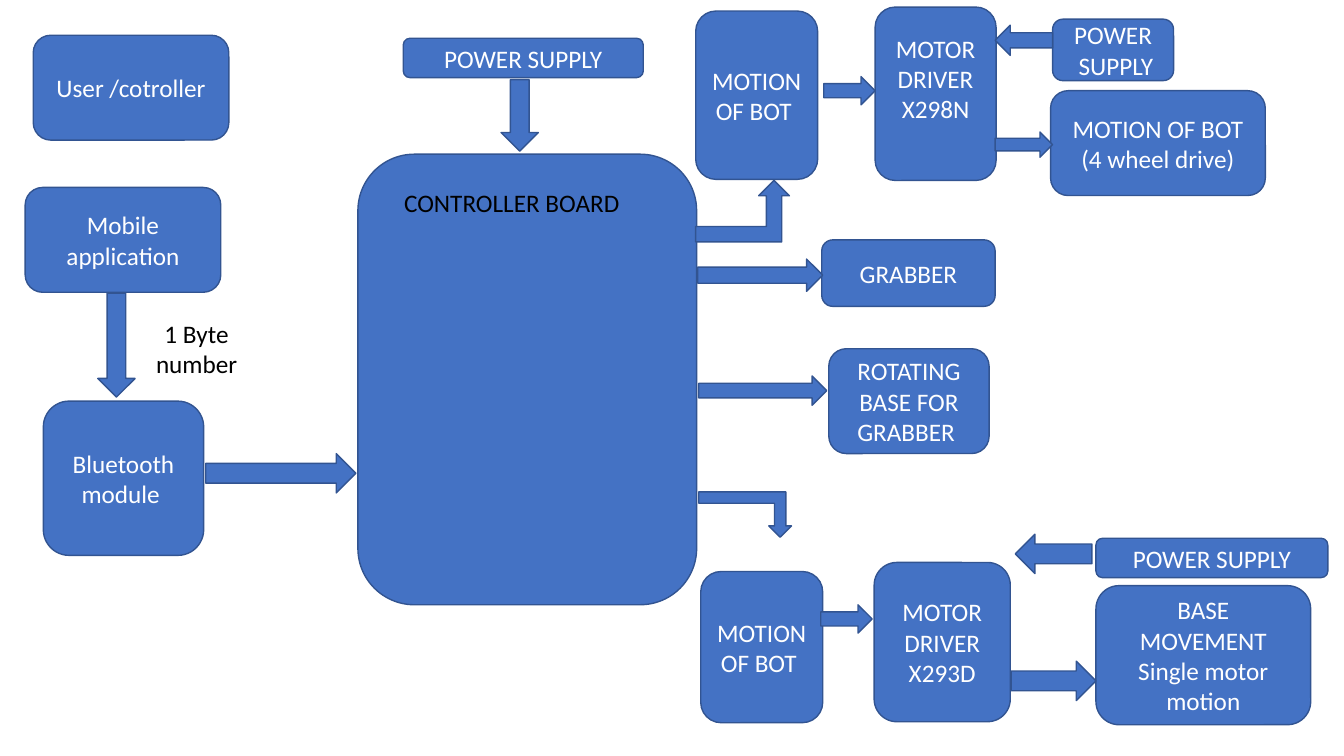
"""Build the block diagram of a robot with its control board, drivers and motors."""
from dataclasses import dataclass

from pptx import Presentation
from pptx.dml.color import RGBColor
from pptx.enum.shapes import MSO_SHAPE as Kind
from pptx.enum.text import MSO_ANCHOR as Anchor, PP_ALIGN as Align
from pptx.util import Inches, Pt

BLUE = RGBColor(0x44, 0x72, 0xC4)
EDGE = RGBColor(0x32, 0x54, 0x91)
WHITE = RGBColor(0xFF, 0xFF, 0xFF)
BLACK = RGBColor(0x00, 0x00, 0x00)
FONT = "Calibri"
SIZE = Pt(18)


@dataclass(frozen=True)
class Area:
    left: float
    top: float
    width: float
    height: float

    def span(self) -> list:
        return [Inches(n) for n in (self.left, self.top, self.width, self.height)]


@dataclass(frozen=True)
class Block:
    area: Area
    lines: tuple = ()
    foot: float = 0.05


@dataclass(frozen=True)
class Arrow:
    kind: Kind
    area: Area
    flip: bool = False


@dataclass(frozen=True)
class Label:
    area: Area
    lines: tuple
    align: Align


BLOCKS = [
    Block(Area(0.33, 0.35, 1.94, 1.04), ("User /cotroller",)),
    Block(Area(0.25, 1.86, 1.94, 1.04), ("Mobile application",)),
    Block(Area(0.43, 3.98, 1.59, 1.53), ("Bluetooth module ",)),
    Block(Area(3.55, 1.53, 3.36, 4.47)),
    Block(Area(4, 0.38, 2.38, 0.39), ("POWER SUPPLY",)),
    Block(Area(6.9, 0.11, 1.21, 1.67), ("MOTION OF BOT ",)),
    Block(Area(8.68, 0.07, 1.2, 1.72), ("MOTOR DRIVER", "X298N"), foot=0.35),
    Block(Area(10.44, 0.19, 1.2, 0.61), ("POWER", " SUPPLY")),
    Block(Area(10.42, 0.9, 2.13, 1.04), ("MOTION OF BOT", "(4 wheel drive)")),
    Block(Area(8.15, 2.38, 1.72, 0.66), ("GRABBER",)),
    Block(Area(8.22, 3.46, 1.59, 1.04), ("ROTATING BASE FOR GRABBER ",)),
    Block(Area(6.95, 5.67, 1.21, 1.5), ("MOTION OF BOT ",)),
    Block(Area(8.67, 5.58, 1.35, 1.58), ("MOTOR DRIVER", "X293D")),
    Block(Area(10.87, 5.34, 2.3, 0.39), ("POWER SUPPLY",)),
    Block(Area(10.87, 5.81, 2.13, 1.38), ("BASE MOVEMENT", "Single motor motion")),
]

ARROWS = [
    Arrow(Kind.DOWN_ARROW, Area(0.97, 2.91, 0.37, 1.03)),
    Arrow(Kind.DOWN_ARROW, Area(4.97, 0.79, 0.37, 0.71)),
    Arrow(Kind.RIGHT_ARROW, Area(2.04, 4.5, 1.49, 0.39)),
    Arrow(Kind.RIGHT_ARROW, Area(6.92, 2.57, 1.24, 0.32)),
    Arrow(Kind.RIGHT_ARROW, Area(6.93, 3.73, 1.27, 0.29)),
    Arrow(Kind.RIGHT_ARROW, Area(8.17, 0.76, 0.51, 0.28)),
    Arrow(Kind.RIGHT_ARROW, Area(9.87, 1.31, 0.57, 0.25)),
    Arrow(Kind.RIGHT_ARROW, Area(8.14, 6, 0.51, 0.28)),
    Arrow(Kind.RIGHT_ARROW, Area(10.03, 6.56, 0.84, 0.39)),
    Arrow(Kind.LEFT_ARROW, Area(9.87, 0.25, 0.57, 0.3)),
    Arrow(Kind.LEFT_ARROW, Area(10.07, 5.3, 0.76, 0.39)),
    Arrow(Kind.BENT_UP_ARROW, Area(6.9, 1.79, 0.93, 0.61)),
    Arrow(Kind.BENT_UP_ARROW, Area(6.93, 4.88, 0.92, 0.45), flip=True),
]

LABELS = [
    Label(Area(1.38, 3.11, 1.14, 1.01), ("1 Byte", "number"), Align.CENTER),
    Label(Area(3.91, 1.81, 2.47, 0.71), ("CONTROLLER BOARD",), Align.LEFT),
]


def write(frame, lines: tuple, ink: RGBColor, align: Align) -> None:
    frame.word_wrap = True
    for i, line in enumerate(lines):
        para = frame.add_paragraph() if i else frame.paragraphs[0]
        para.alignment = align
        run = para.add_run()
        run.text = line
        run.font.name = FONT
        run.font.size = SIZE
        run.font.color.rgb = ink


def add_form(slide, kind: Kind, area: Area):
    form = slide.shapes.add_shape(kind, *area.span())
    form.shadow.inherit = False
    form.fill.solid()
    form.fill.fore_color.rgb = BLUE
    form.line.color.rgb = EDGE
    form.line.width = Pt(1)
    return form


def add_block(slide, block: Block) -> None:
    frame = add_form(slide, Kind.ROUNDED_RECTANGLE, block.area).text_frame
    frame.vertical_anchor = Anchor.MIDDLE
    frame.margin_bottom = Inches(block.foot)
    write(frame, block.lines, WHITE, Align.CENTER)


def add_arrow(slide, arrow: Arrow) -> None:
    form = add_form(slide, arrow.kind, arrow.area)
    if arrow.flip:
        form.element.spPr.xfrm.set("flipV", "1")


def add_label(slide, label: Label) -> None:
    box = slide.shapes.add_textbox(*label.area.span())
    write(box.text_frame, label.lines, BLACK, label.align)


def main() -> None:
    deck = Presentation()
    deck.slide_width = Inches(13.33)
    deck.slide_height = Inches(7.5)
    slide = deck.slides.add_slide(deck.slide_layouts[6])
    for block in BLOCKS:
        add_block(slide, block)
    for arrow in ARROWS:
        add_arrow(slide, arrow)
    for label in LABELS:
        add_label(slide, label)
    deck.save("out.pptx")


if __name__ == "__main__":
    main()
